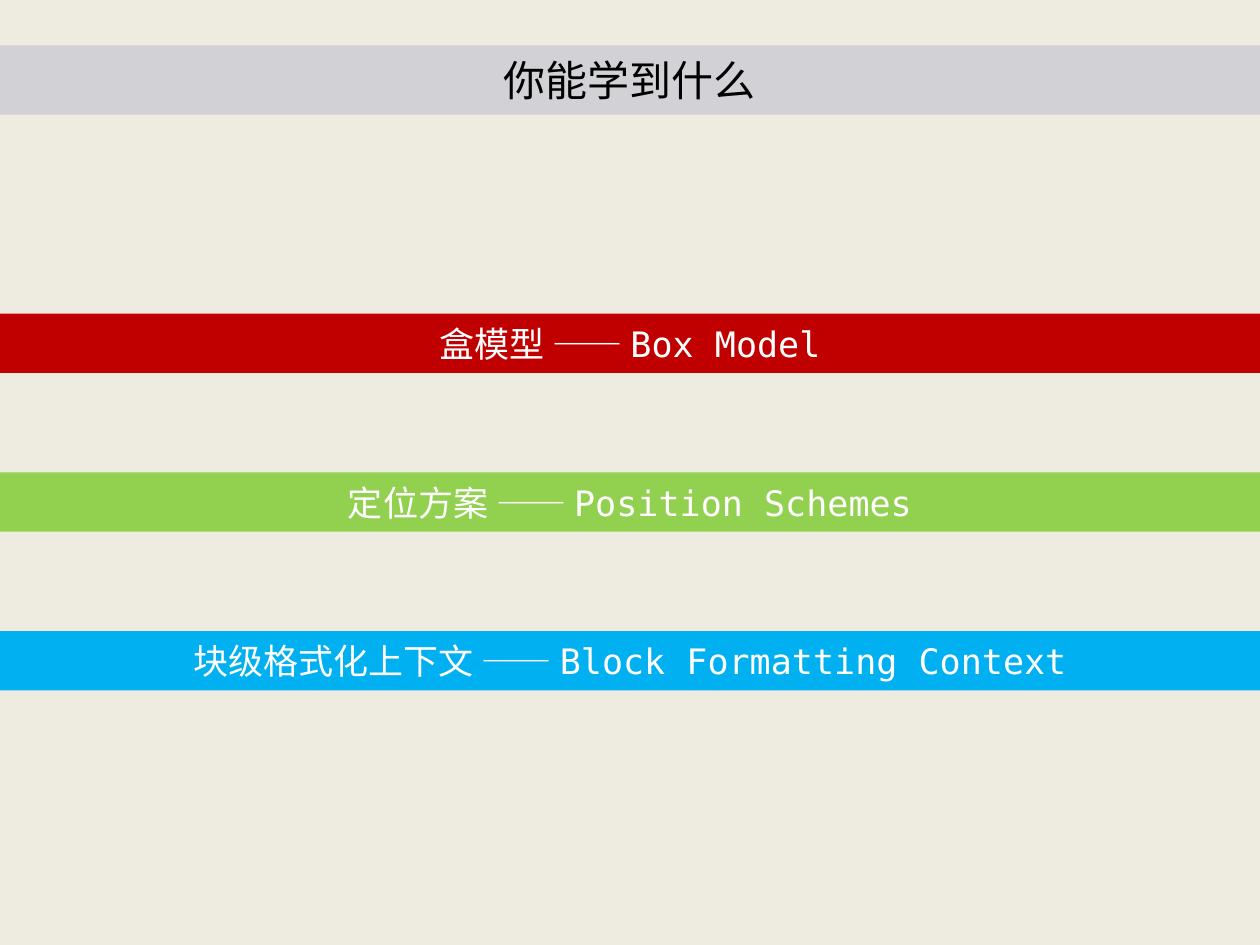
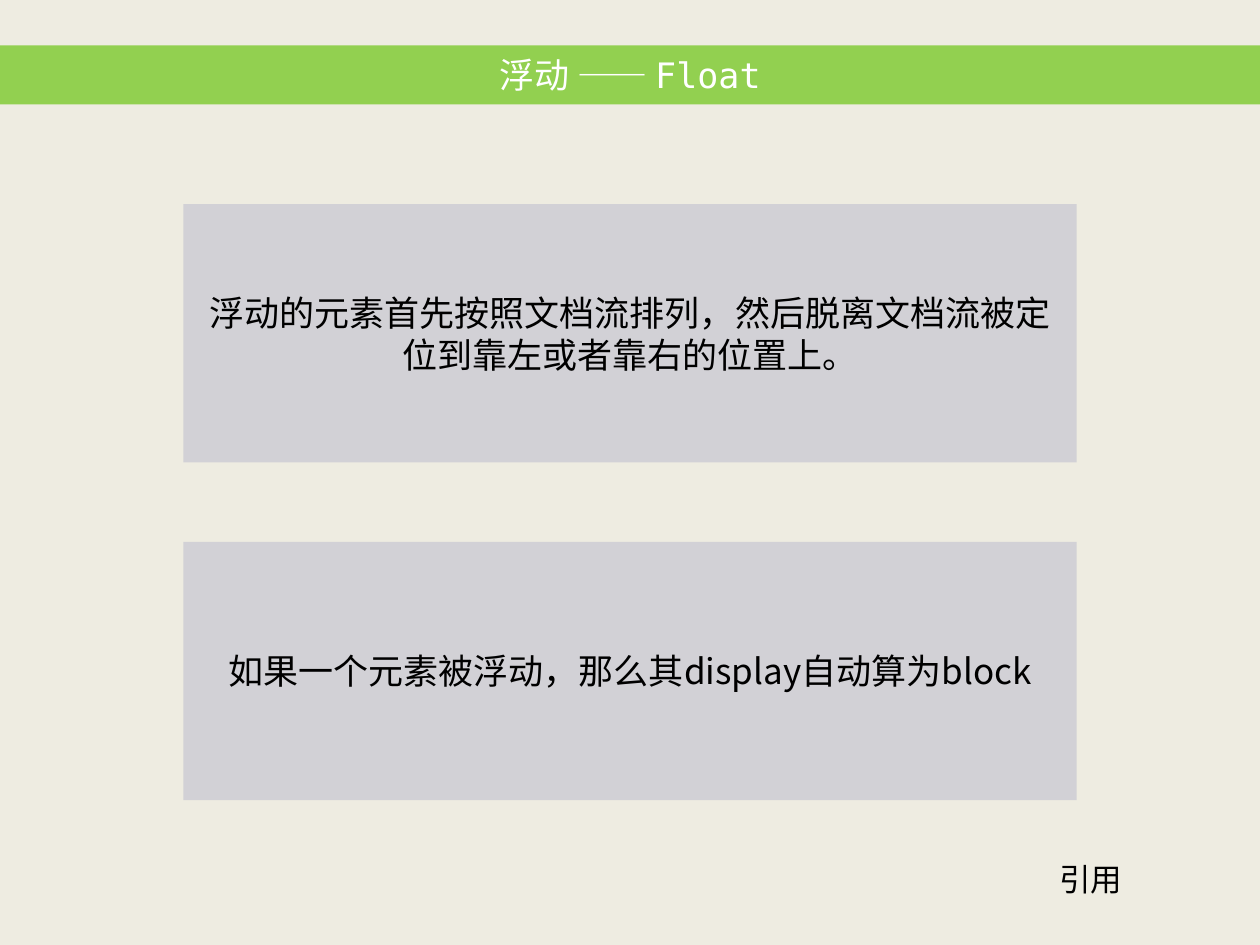
import dataclasses

import lxml.etree
import pptx
import pptx.dml.color
import pptx.enum.shapes
import pptx.enum.text
import pptx.oxml.ns
import pptx.util


@dataclasses.dataclass(frozen=True)
class Theme:
    background: str = "EEECE1"
    panel: str = "D2D1D6"
    red: str = "C00000"
    green: str = "92D050"
    blue: str = "00B0F0"
    dark: str = "000000"
    light: str = "FFFFFF"
    title_size: int = 24
    body_size: int = 20
    note_size: int = 18
    chinese_font: str = "Noto Sans CJK SC"
    code_font: str = "DejaVu Sans Mono"
    note_font: str = "Calibri"


COLUMNS, ROWS = 100, 75
FULL_WIDTH = COLUMNS
HEADER_TOP = 3.6
TITLE_HEIGHT, TOPIC_HEIGHT = 5.5, 4.7


def rgb(color):
    return pptx.dml.color.RGBColor.from_string(color)


class SlideBuilder:
    """Draws on the current slide in cells of a 100 by 75 grid."""

    def __init__(self, deck, theme):
        self.deck = deck
        self.theme = theme
        self.slide = None

    def new_slide(self):
        self.slide = self.deck.slides.add_slide(self.deck.slide_layouts[6])
        fill = self.slide.background.fill
        fill.solid()
        fill.fore_color.rgb = rgb(self.theme.background)

    def place(self, left, top, width, height):
        """Turn grid cells into slide lengths."""
        across = self.deck.slide_width / COLUMNS
        down = self.deck.slide_height / ROWS
        return [pptx.util.Emu(round(length)) for length in
                (left * across, top * down, width * across, height * down)]

    def add_text(self, para, text, *, size, color, font=None):
        """Add a run; Chinese characters always take the Chinese font."""
        span = para.add_run()
        span.text = text
        span.font.size = pptx.util.Pt(size)
        span.font.color.rgb = rgb(color)
        span.font.name = font or self.theme.chinese_font
        east_asian = lxml.etree.SubElement(span.font._element, pptx.oxml.ns.qn("a:ea"))
        east_asian.set("typeface", self.theme.chinese_font)

    def block(self, cells, fill):
        """Add a plain filled rectangle and return its centred paragraph."""
        box = self.slide.shapes.add_shape(
            pptx.enum.shapes.MSO_SHAPE.RECTANGLE, *self.place(*cells))
        box.shadow.inherit = False
        box.fill.solid()
        box.fill.fore_color.rgb = rgb(fill)
        box.line.fill.background()
        box.text_frame.word_wrap = True
        box.text_frame.vertical_anchor = pptx.enum.text.MSO_ANCHOR.MIDDLE
        para = box.text_frame.paragraphs[0]
        para.alignment = pptx.enum.text.PP_ALIGN.CENTER
        return para

    def title_band(self, text):
        para = self.block((0, HEADER_TOP, FULL_WIDTH, TITLE_HEIGHT), self.theme.panel)
        self.add_text(para, text, size=self.theme.title_size, color=self.theme.dark)

    def topic_band(self, chinese, english, top, fill):
        para = self.block((0, top, FULL_WIDTH, TOPIC_HEIGHT), fill)
        style = {"size": self.theme.body_size, "color": self.theme.light}
        self.add_text(para, f"{chinese} —— ", **style)
        self.add_text(para, english, font=self.theme.code_font, **style)

    def panel(self, text, cells):
        para = self.block(cells, self.theme.panel)
        self.add_text(para, text, size=self.theme.body_size, color=self.theme.dark)

    def note(self, text, cells):
        box = self.slide.shapes.add_textbox(*self.place(*cells))
        box.text_frame.word_wrap = True
        box.text_frame.auto_size = pptx.enum.text.MSO_AUTO_SIZE.SHAPE_TO_FIT_TEXT
        self.add_text(box.text_frame.paragraphs[0], text, size=self.theme.note_size,
                      color=self.theme.dark, font=self.theme.note_font)


def build_overview(builder):
    theme = builder.theme
    builder.new_slide()
    builder.title_band("你能学到什么")
    topics = [
        ("盒模型", "Box Model", theme.red),
        ("定位方案", "Position Schemes", theme.green),
        ("块级格式化上下文", "Block Formatting Context", theme.blue),
    ]
    first_top, pitch = 24.9, 12.6
    for index, (chinese, english, fill) in enumerate(topics):
        builder.topic_band(chinese, english, first_top + index * pitch, fill)


def build_float(builder):
    builder.new_slide()
    builder.topic_band("浮动", "Float", HEADER_TOP, builder.theme.green)
    statements = [
        "浮动的元素首先按照文档流排列，然后脱离文档流被定位到靠左或者靠右的位置上。",
        "如果一个元素被浮动，那么其display自动算为block",
    ]
    width, height = 70.9, 20.5
    first_top, pitch = 16.2, 26.8
    for index, statement in enumerate(statements):
        top = first_top + index * pitch
        builder.panel(statement, ((COLUMNS - width) / 2, top, width, height))
    builder.note("引用", (83.1, 67.8, 7.9, 4))


def main():
    deck = pptx.Presentation()
    deck.slide_width = pptx.util.Inches(10)
    deck.slide_height = pptx.util.Inches(7.5)
    builder = SlideBuilder(deck, Theme())
    build_overview(builder)
    build_float(builder)
    deck.save("out.pptx")


if __name__ == "__main__":
    main()
